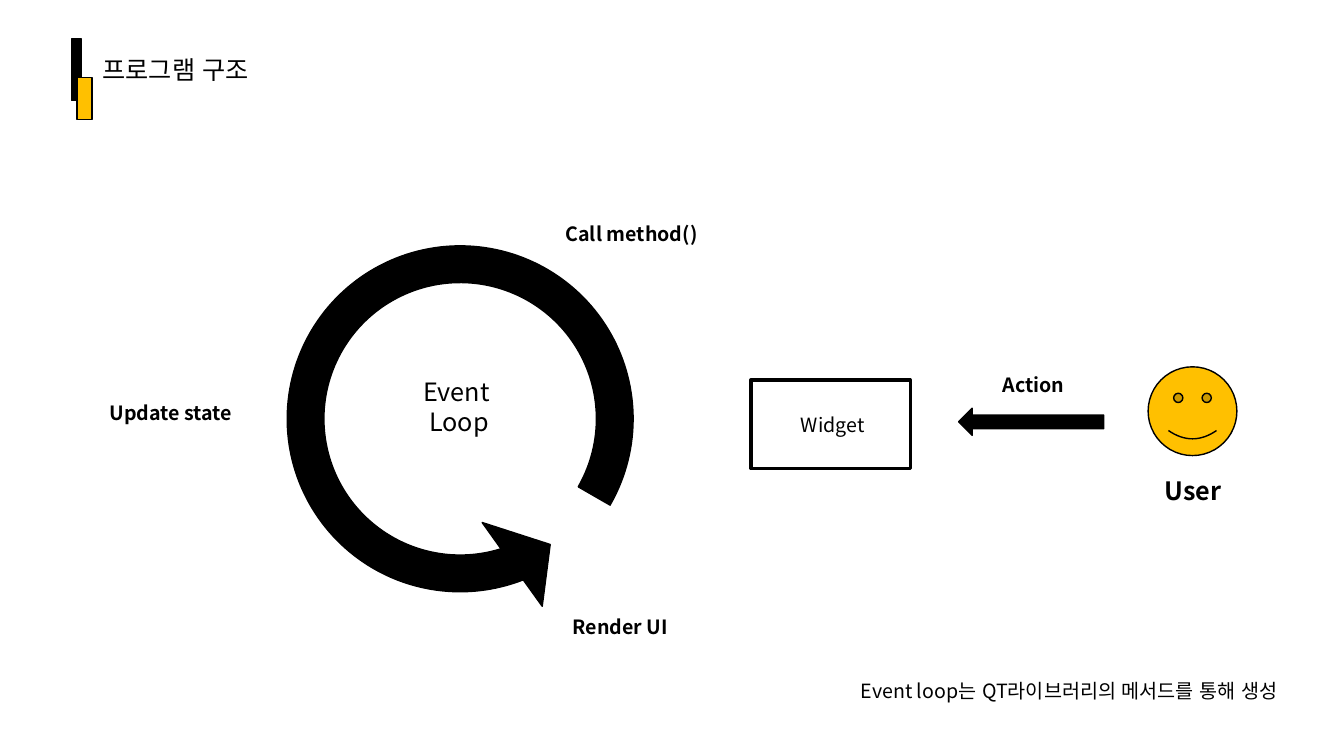
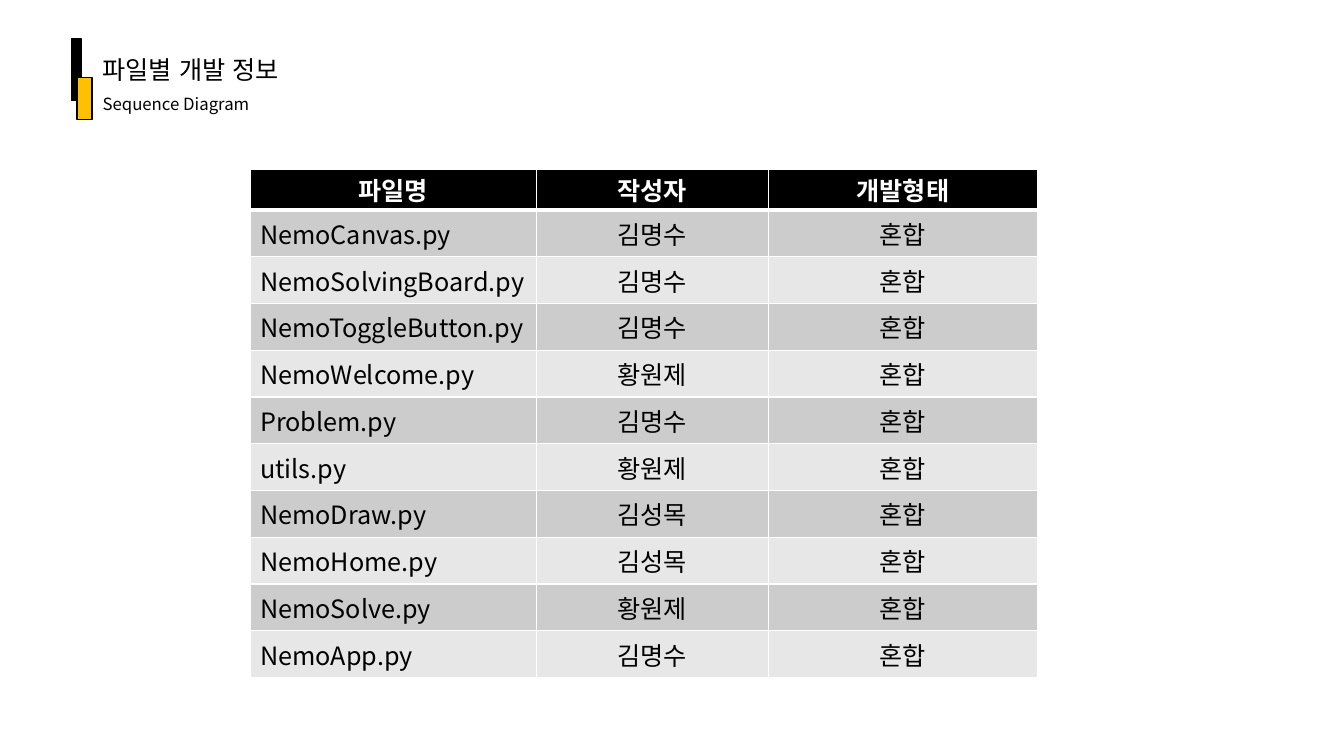
from dataclasses import dataclass

from lxml import etree
from pptx import Presentation
from pptx.dml.color import RGBColor
from pptx.enum import lang, shapes, text as txt
from pptx.oxml import ns
from pptx.shapes.autoshape import Shape
from pptx.slide import Slide
from pptx.table import _Cell
from pptx.text.text import TextFrame
from pptx.util import Pt

FONT = "Noto Sans CJK KR"
HUES = {
    "ink": "000000",
    "paper": "FFFFFF",
    "gold": "FFC000",
    "dark": "CCCCCC",
    "light": "E7E7E7",
}
KIND = shapes.MSO_SHAPE


@dataclass
class Label:
    words: str
    left: float
    top: float
    width: float = 124.6
    height: float = 24.2
    size: float = 14
    bold: bool = True
    center: bool = True


LABELS = [
    Label("User", 789.8, 336.2, height=29, size=18),
    Label("Action", 676, 262.8),
    Label("Event \nLoop", 233.3, 265, 189.4, 51, 18, False),
    Label("Call method()", 388.8, 154.8),
    Label("Update state", 59.8, 283),
    Label("Render UI", 380.9, 435.6),
    Label("Event loop는 QT라이브러리의 메서드를 통해 생성",
          607.7, 481.7, 332.6, bold=False, center=False),
]

HEADS = ("파일명", "작성자", "개발형태")
FORM = "혼합"
FILES = [
    ("NemoCanvas.py", "김명수"),
    ("NemoSolvingBoard.py", "김명수"),
    ("NemoToggleButton.py", "김명수"),
    ("NemoWelcome.py", "황원제"),
    ("Problem.py", "김명수"),
    ("utils.py", "황원제"),
    ("NemoDraw.py", "김성목"),
    ("NemoHome.py", "김성목"),
    ("NemoSolve.py", "황원제"),
    ("NemoApp.py", "김명수"),
]
COLS = (204.6, 165.6, 192.4)
HEAD_H, ROW_H = 29, 33.4
HEAD_PAD = 1.4


def hue(name: str) -> RGBColor:
    return RGBColor.from_string(HUES[name])


def write(frame: TextFrame, words: str, *, size: float = 18, bold: bool = False,
          color: str = "ink", center: bool = False) -> None:
    """Fill a frame with one paragraph for each line of words."""
    frame.word_wrap = True
    for num, line in enumerate(words.split("\n")):
        par = frame.add_paragraph() if num else frame.paragraphs[0]
        par.alignment = txt.PP_ALIGN.CENTER if center else txt.PP_ALIGN.LEFT
        run = par.add_run()
        run.text = line
        font = run.font
        font.size, font.bold, font.name = Pt(size), bold, FONT
        font.language_id = lang.MSO_LANGUAGE_ID.KOREAN
        font.color.rgb = hue(color)
        asian = etree.SubElement(run._r.get_or_add_rPr(), ns.qn("a:ea"))
        asian.set("typeface", FONT)


def label(slide: Slide, item: Label) -> None:
    box = slide.shapes.add_textbox(Pt(item.left), Pt(item.top),
                                   Pt(item.width), Pt(item.height))
    write(box.text_frame, item.words, size=item.size, bold=item.bold,
          center=item.center)


def draw(slide: Slide, kind: shapes.MSO_SHAPE, left: float, top: float,
         width: float, height: float, fill: str = "ink",
         line: float = 1) -> Shape:
    shape = slide.shapes.add_shape(kind, Pt(left), Pt(top), Pt(width), Pt(height))
    shape.shadow.inherit = False
    shape.fill.solid()
    shape.fill.fore_color.rgb = hue(fill)
    shape.line.color.rgb = hue("ink")
    shape.line.width = Pt(line)
    return shape


def title(slide: Slide, words: str, sub: str = "") -> None:
    draw(slide, KIND.RECTANGLE, 51.1, 28, 7.2, 44)
    draw(slide, KIND.RECTANGLE, 55, 55.4, 10.8, 30.2, "gold")
    label(slide, Label(words, 66.2, 35.3, 187.2, 29, 18, False, False))
    if sub:
        label(slide, Label(sub, 66.2, 63.4, 195.8, 21.6, 12, False, False))


def loop(slide: Slide) -> None:
    title(slide, "프로그램 구조")
    draw(slide, KIND.SMILEY_FACE, 820.1, 262, 63.4, 63.4, "gold")
    widget = draw(slide, KIND.RECTANGLE, 536.4, 271.4, 113.8, 63.4, "paper", 2.25)
    write(widget.text_frame, " Widget", size=14, center=True)
    widget.text_frame.vertical_anchor = txt.MSO_ANCHOR.MIDDLE
    action = draw(slide, KIND.RIGHT_ARROW, 684.7, 291.6, 103.7, 19.4)
    action.rotation = 180
    cycle = draw(slide, KIND.CIRCULAR_ARROW, 181.4, 151.9, 294.5, 294.5)
    for num, value in enumerate((0.089, 9.581, 204.577, 12.819, 0.125)):
        cycle.adjustments[num] = value
    cycle.rotation = 231.3
    cycle._element.spPr.xfrm.set("flipH", "1")
    for item in LABELS:
        label(slide, item)


def edge(cell: _Cell, top: float, bottom: float) -> None:
    """Draw white borders; side borders are one point wide."""
    props = cell._tc.get_or_add_tcPr()
    for side, width in zip("LRTB", (1, 1, top, bottom)):
        line = etree.SubElement(props, ns.qn(f"a:ln{side}"), w=str(Pt(width)))
        fill = etree.SubElement(line, ns.qn("a:solidFill"))
        etree.SubElement(fill, ns.qn("a:srgbClr"), val=HUES["paper"])


def files(slide: Slide) -> None:
    title(slide, "파일별 개발 정보", "Sequence Diagram")
    rows = [HEADS] + [(name, author, FORM) for name, author in FILES]
    high = HEAD_H + ROW_H * len(FILES)
    grid = slide.shapes.add_table(len(rows), len(COLS), Pt(178.6), Pt(121),
                                  Pt(sum(COLS)), Pt(high)).table
    for col, width in zip(grid.columns, COLS):
        col.width = Pt(width)
    for r, row in enumerate(rows):
        head = r == 0
        grid.rows[r].height = Pt(HEAD_H if head else ROW_H)
        fill = "ink" if head else "dark" if r % 2 else "light"
        for c, words in enumerate(row):
            cell = grid.cell(r, c)
            edge(cell, 3 if r == 1 else 1, 3 if head else 1)
            cell.fill.solid()
            cell.fill.fore_color.rgb = hue(fill)
            if head:
                cell.margin_top = cell.margin_bottom = Pt(HEAD_PAD)
            write(cell.text_frame, words, bold=head, center=head or c > 0,
                  color="paper" if head else "ink")


def main() -> None:
    deck = Presentation()
    deck.slide_width, deck.slide_height = Pt(960), Pt(540)
    for build in (loop, files):
        build(deck.slides.add_slide(deck.slide_layouts[6]))
    deck.save("out.pptx")


if __name__ == "__main__":
    main()
